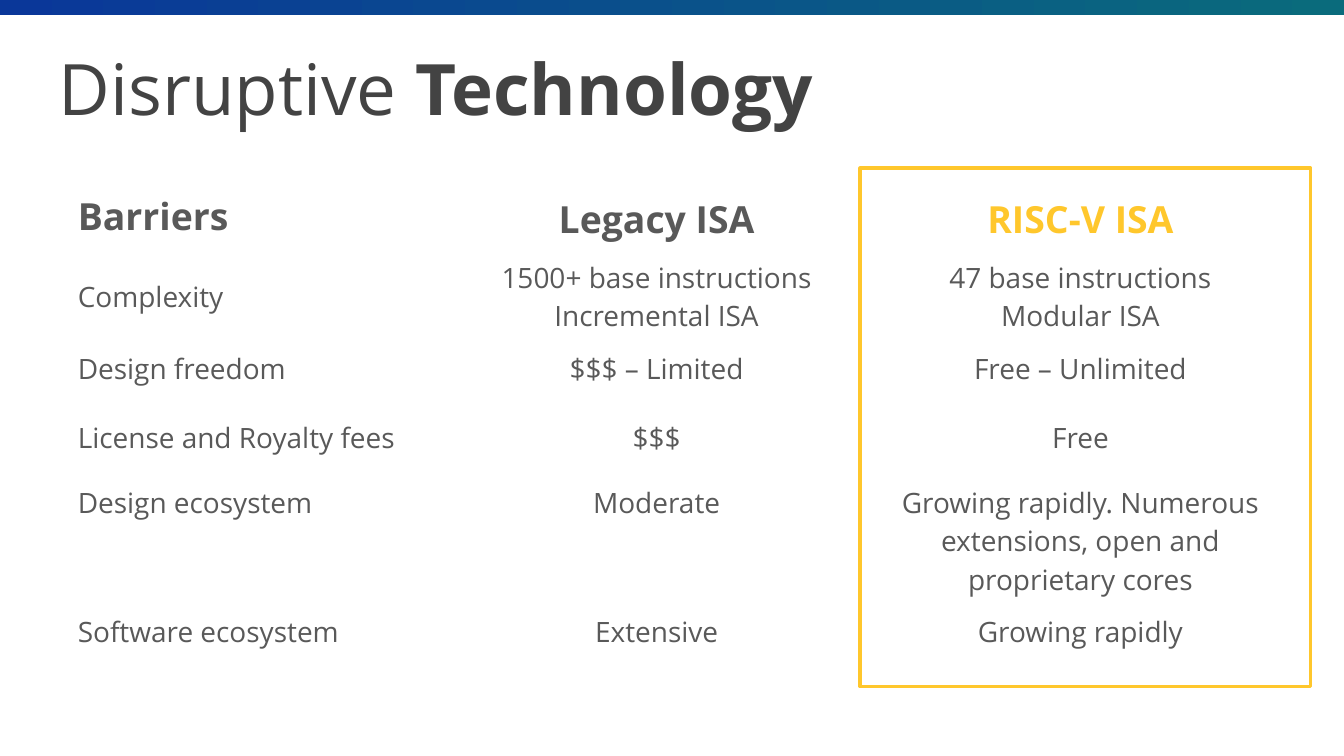
"""Build a slide comparing legacy and RISC-V instruction sets."""
from dataclasses import dataclass

from pptx import Presentation
from pptx.dml.color import RGBColor
from pptx.enum.shapes import MSO_SHAPE
from pptx.enum.text import MSO_ANCHOR, PP_ALIGN
from pptx.slide import Slide
from pptx.table import Table, _Cell
from pptx.text.text import Font
from pptx.util import Cm, Pt

FACE = "Open Sans"
BLUE = RGBColor(0x0A, 0x37, 0x99)
TEAL = RGBColor(0x0A, 0x6B, 0x7C)
DARK = RGBColor(0x43, 0x43, 0x43)
GREY = RGBColor(0x59, 0x59, 0x59)
GOLD = RGBColor(0xFF, 0xC7, 0x2C)
WIDTHS = (7.37, 7.54, 8.48)


@dataclass
class Row:
    height: float
    texts: tuple[str, str, str]
    anchor: MSO_ANCHOR = MSO_ANCHOR.MIDDLE


ROWS = (
    Row(1.27, ("Barriers", "Legacy ISA", "RISC-V ISA")),
    Row(1.09, ("Complexity", "1500+ base instructions\nIncremental ISA",
               "47 base instructions\nModular ISA")),
    Row(1.09, ("Design freedom", "$$$ – Limited", "Free – Unlimited")),
    Row(1.52, ("License and Royalty fees", "$$$", "Free")),
    Row(2.44, ("Design ecosystem", "Moderate",
               "Growing rapidly. Numerous extensions, open and proprietary cores"),
        MSO_ANCHOR.TOP),
    Row(1.09, ("Software ecosystem", "Extensive", "Growing rapidly"), MSO_ANCHOR.TOP),
)


def style(font: Font, size: float, color: RGBColor, bold: bool = False) -> None:
    font.name = FACE
    font.size = Pt(size)
    font.bold = bold
    font.color.rgb = color


def add_bar(slide: Slide, width: int) -> None:
    bar = slide.shapes.add_shape(MSO_SHAPE.RECTANGLE, 0, 0, width, Cm(0.28))
    bar.shadow.inherit = False
    bar.line.fill.background()
    bar.fill.gradient()
    bar.fill.gradient_angle = 0
    for stop, color in zip(bar.fill.gradient_stops, (BLUE, TEAL)):
        stop.color.rgb = color


def set_title(slide: Slide) -> None:
    title = slide.shapes.title
    title.left, title.top, title.width, title.height = Cm(0.86), Cm(0.61), Cm(23.67), Cm(2.08)
    frame = title.text_frame
    frame.margin_left = frame.margin_right = Cm(0.25)
    frame.margin_top = frame.margin_bottom = Cm(0.25)
    frame.vertical_anchor = MSO_ANCHOR.MIDDLE
    line = frame.paragraphs[0]
    line.alignment = PP_ALIGN.LEFT
    style(line.font, 38, DARK)
    line.add_run().text = "Disruptive "
    strong = line.add_run()
    strong.text = "Technology"
    strong.font.bold = True


def fill_cell(cell: _Cell, text: str, anchor: MSO_ANCHOR, first: bool, head: bool,
              color: RGBColor) -> None:
    cell.fill.background()
    cell.margin_left = cell.margin_right = Cm(0.2)
    cell.margin_top = cell.margin_bottom = Cm(0.1)
    cell.vertical_anchor = MSO_ANCHOR.TOP if first and head else anchor
    line = cell.text_frame.paragraphs[0]
    line.text = text
    line.alignment = PP_ALIGN.LEFT if first else PP_ALIGN.CENTER
    style(line.font, 20 if head else 15, color, head)


def add_grid(slide: Slide) -> Table:
    grid = slide.shapes.add_table(
        len(ROWS), len(WIDTHS), Cm(1.27), Cm(3.51), Cm(sum(WIDTHS)),
        Cm(sum(row.height for row in ROWS))).table
    grid.first_row = grid.horz_banding = False
    for column, width in zip(grid.columns, WIDTHS):
        column.width = Cm(width)
    for r, row in enumerate(ROWS):
        grid.rows[r].height = Cm(row.height)
        for c, text in enumerate(row.texts):
            color = GOLD if (r, c) == (0, 2) else GREY
            fill_cell(grid.cell(r, c), text, row.anchor, c == 0, r == 0, color)
    return grid


def add_frame(slide: Slide) -> None:
    frame = slide.shapes.add_shape(
        MSO_SHAPE.RECTANGLE, Cm(16.26), Cm(3.18), Cm(8.51), Cm(9.8))
    frame.shadow.inherit = False
    frame.fill.background()
    frame.line.color.rgb = GOLD
    frame.line.width = Pt(2)


def main() -> None:
    deck = Presentation()
    deck.slide_width, deck.slide_height = Cm(25.4), Cm(14.29)
    slide = deck.slides.add_slide(deck.slide_layouts[5])
    add_bar(slide, deck.slide_width)
    set_title(slide)
    add_grid(slide)
    add_frame(slide)
    deck.save("out.pptx")


if __name__ == "__main__":
    main()
